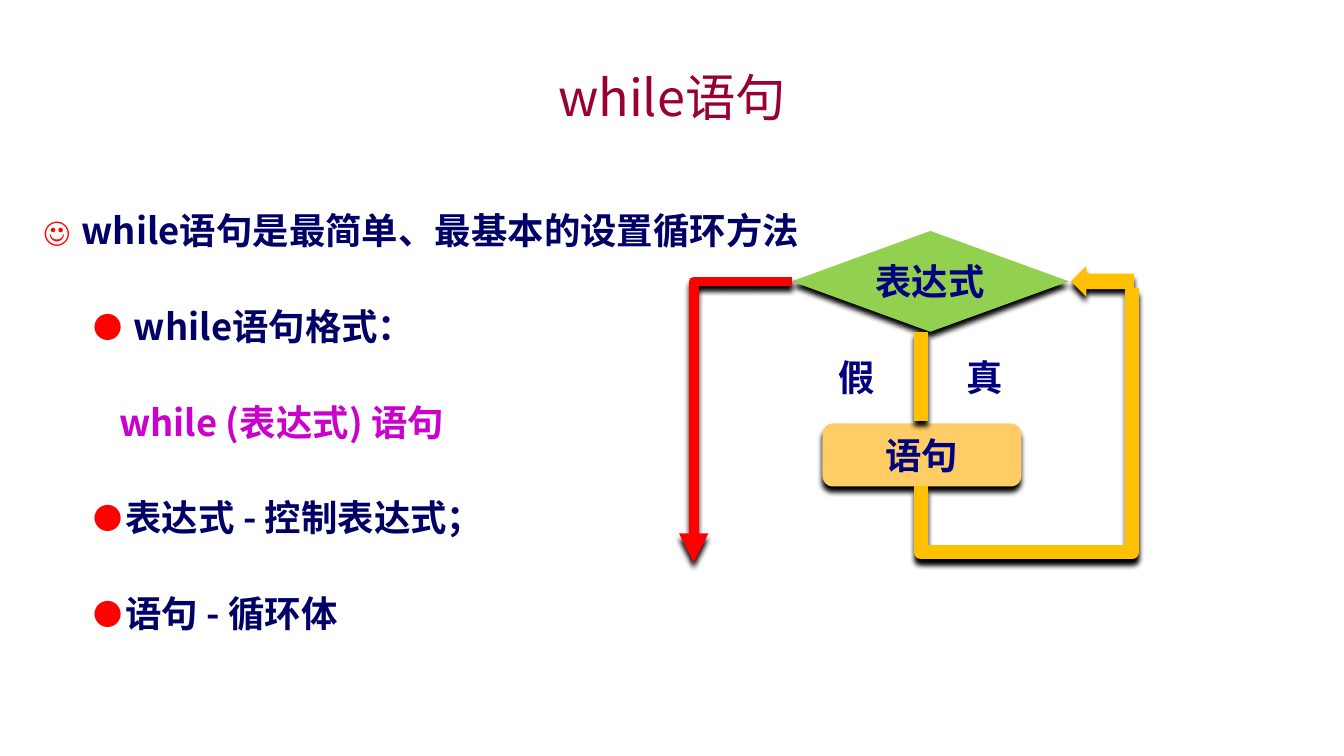
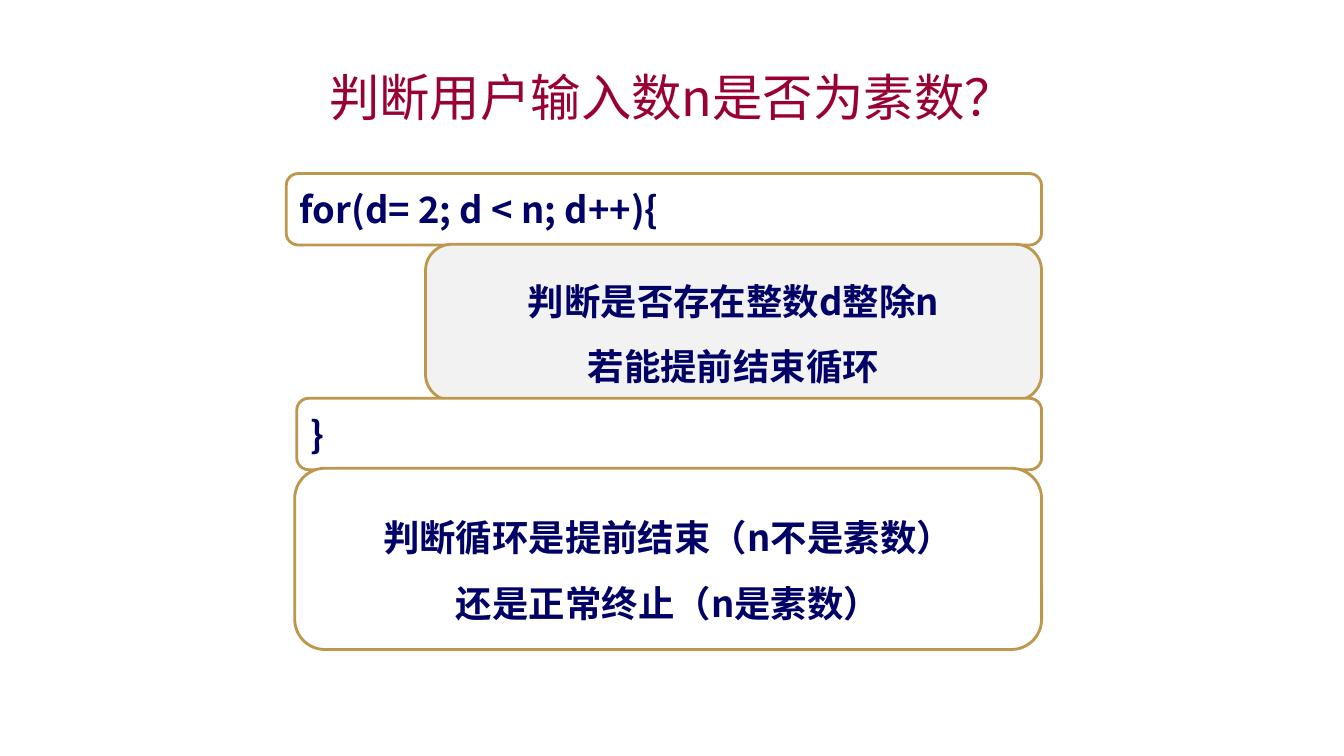
import pptx
import pptx.dml.color
import pptx.enum.shapes
import pptx.enum.text
import pptx.oxml
import pptx.oxml.ns
import pptx.util

Pt = pptx.util.Pt
RGB = pptx.dml.color.RGBColor
SHAPE = pptx.enum.shapes.MSO_SHAPE
ALIGN = pptx.enum.text.PP_ALIGN
MIDDLE = pptx.enum.text.MSO_ANCHOR.MIDDLE

FONT = "Noto Sans CJK SC"
TEXT_SIZE = 26
CRIMSON = RGB(0x99, 0x00, 0x33)
NAVY = RGB(0x00, 0x00, 0x66)
LABEL_BLUE = RGB(0x00, 0x00, 0x80)
MAGENTA = RGB(0xCC, 0x00, 0xCC)
RED = RGB(0xFF, 0x00, 0x00)
AMBER = RGB(0xFF, 0xC0, 0x00)
ORANGE = RGB(0xFF, 0xCC, 0x66)
GREEN = RGB(0x92, 0xD0, 0x50)
WHITE = RGB(0xFF, 0xFF, 0xFF)
PALE_GREY = RGB(0xF2, 0xF2, 0xF2)
GOLD = RGB(0xBD, 0x97, 0x4B)


# Shared helpers
def add_xml(parent, xml):
    parent.append(pptx.oxml.parse_xml(
        xml.replace(">", " " + pptx.oxml.ns.nsdecls("a") + ">", 1)
        if not xml.endswith("/>") or xml.count("<") > 1
        else xml[:-2] + " " + pptx.oxml.ns.nsdecls("a") + "/>"))


def style_runs(paragraph, color, size=TEXT_SIZE, bold=True):
    for run in paragraph.runs:
        run.font.name = FONT
        run.font.size = Pt(size)
        run.font.bold = bold
        run.font.color.rgb = color
        add_xml(run._r.get_or_add_rPr(), f'<a:ea typeface="{FONT}"/>')


def cast_shadow(part):
    add_xml(part._element.spPr,
            '<a:effectLst><a:outerShdw blurRad="50800" dist="50800" dir="5400000" '
            'algn="t" rotWithShape="0"><a:srgbClr val="000000"/></a:outerShdw></a:effectLst>')


def write(shape, text, color, align=ALIGN.CENTER, spacing=None):
    frame = shape.text_frame
    frame.word_wrap = True
    frame.vertical_anchor = MIDDLE
    frame.text = text
    for paragraph in frame.paragraphs:
        paragraph.alignment = align
        paragraph.line_spacing = spacing
        style_runs(paragraph, color)


def add_block(slide, kind, left, top, width, height, fill, border=None):
    block = slide.shapes.add_shape(kind, Pt(left), Pt(top), Pt(width), Pt(height))
    block.fill.solid()
    block.fill.fore_color.rgb = fill
    if border is None:
        block.line.fill.background()
        cast_shadow(block)
    else:
        block.line.color.rgb = border
        block.line.width = Pt(2)
        block.shadow.inherit = False
    return block


def add_route(slide, points, color, width, arrow=False):
    """Draws a straight or bent flow line through the points."""
    stops = [(Pt(x), Pt(y)) for x, y in points]
    if len(stops) == 2:
        route = slide.shapes.add_connector(
            pptx.enum.shapes.MSO_CONNECTOR.STRAIGHT, *stops[0], *stops[1])
    else:
        builder = slide.shapes.build_freeform(*stops[0])
        builder.add_line_segments(stops[1:], close=False)
        route = builder.convert_to_shape()
        route.fill.background()
    route.line.color.rgb = color
    route.line.width = Pt(width)
    outline = route.line._get_or_add_ln()
    add_xml(outline, "<a:round/>")
    if arrow:
        add_xml(outline, '<a:tailEnd type="triangle"/>')
    cast_shadow(route)


def add_titled_slide(deck, text):
    slide = deck.slides.add_slide(deck.slide_layouts[5])
    title = slide.shapes.title
    title.left, title.top, title.width, title.height = Pt(72), Pt(42), Pt(816), Pt(54)
    title.text_frame.text = text
    title.text_frame.vertical_anchor = MIDDLE
    title.text_frame.paragraphs[0].alignment = ALIGN.CENTER
    style_runs(title.text_frame.paragraphs[0], CRIMSON, 36, False)
    return slide


# Bulleted explanation
def add_explanation(slide, left, top, width, height):
    # text, bullet, level, left margin, hanging indent, colour
    lines = [
        ("while语句是最简单、最基本的设置循环方法", "☺", 0, 27, 27, NAVY),
        ("while语句格式：", "●", 1, 64.5, 28.5, NAVY),
        ("while (表达式) 语句", None, 0, 54, 0, MAGENTA),
        ("表达式 - 控制表达式；", "●", 1, 58.5, 22.5, NAVY),
        ("语句 - 循环体", "●", 1, 58.5, 22.5, NAVY),
    ]
    frame = slide.shapes.add_textbox(Pt(left), Pt(top), Pt(width), Pt(height)).text_frame
    frame.word_wrap = True
    frame.text = "\n".join(line[0] for line in lines)
    for index, (paragraph, line) in enumerate(zip(frame.paragraphs, lines)):
        _, bullet, level, margin, hanging, color = line
        paragraph.level = level
        paragraph.line_spacing = 2.0
        if index:
            paragraph.space_before = Pt(6)
        properties = paragraph._p.get_or_add_pPr()
        properties.set("marL", str(Pt(margin)))
        properties.set("indent", str(-Pt(hanging)))
        if bullet:
            add_xml(properties, f'<a:buClr><a:srgbClr val="{RED}"/></a:buClr>')
            add_xml(properties, '<a:buSzPct val="80000"/>')
            add_xml(properties, f'<a:buFont typeface="{FONT}"/>')
            add_xml(properties, f'<a:buChar char="{bullet}"/>')
        else:
            add_xml(properties, "<a:buNone/>")
        style_runs(paragraph, color)


# Loop flowchart
def add_flowchart(slide, left, top):
    exit_x, stem_x, return_x = left, left + 162.5, left + 313
    test_left, test_width, test_height = left + 70, 198, 72
    test_y = top + test_height / 2
    test_bottom = top + test_height
    body_top, body_height = top + 137.5, 45
    body_bottom = body_top + body_height
    loop_y = body_bottom + 47

    body = add_block(slide, SHAPE.ROUNDED_RECTANGLE, left + 92, body_top, 142, body_height, ORANGE)
    write(body, "语句", LABEL_BLUE)
    test = add_block(slide, SHAPE.DIAMOND, test_left, top, test_width, test_height, GREEN)
    write(test, "表达式", LABEL_BLUE)
    add_block(slide, SHAPE.LEFT_ARROW, test_left + test_width + 1.5, test_y - 11, 45, 22, AMBER)

    add_route(slide, [(stem_x, body_top - 2), (stem_x, test_bottom)], AMBER, 10)
    add_route(slide, [(stem_x, body_bottom), (stem_x, loop_y),
                      (return_x, loop_y), (return_x, test_y + 5)], AMBER, 10)
    add_route(slide, [(test_left, test_y), (exit_x, test_y),
                      (exit_x, top + 237)], RED, 7, arrow=True)

    for text, offset in (("真", 188), ("假", 96.5)):
        label = slide.shapes.add_textbox(Pt(left + offset), Pt(top + 84.5), Pt(41), Pt(39))
        write(label, text, LABEL_BLUE, ALIGN.LEFT)


# Nested program outline
def add_outline(slide, left, top):
    right = left + 539.5
    # text, indent, offset from top, height, fill, is code
    blocks = [
        ("for(d= 2; d < n; d++){", 0, 0, 51, WHITE, True),
        ("判断是否存在整数d整除n\n若能提前结束循环", 99.5, 50.5, 111.5, PALE_GREY, False),
        ("}", 7.5, 160.5, 51, WHITE, True),
        ("判断循环是提前结束（n不是素数）\n还是正常终止（n是素数）", 6, 210.5, 129.5, WHITE, False),
    ]
    for text, indent, offset, height, fill, is_code in blocks:
        block = add_block(slide, SHAPE.ROUNDED_RECTANGLE, left + indent, top + offset,
                          right - left - indent, height, fill, GOLD)
        write(block, text, NAVY, ALIGN.LEFT if is_code else ALIGN.CENTER,
              None if is_code else 1.5)


def main():
    deck = pptx.Presentation()
    deck.slide_width, deck.slide_height = Pt(960), Pt(540)

    while_slide = add_titled_slide(deck, "while语句")
    add_explanation(while_slide, 24, 114, 918, 378)
    add_flowchart(while_slide, 495.5, 165)

    prime_slide = add_titled_slide(deck, "判断用户输入数n是否为素数？")
    add_outline(prime_slide, 204.5, 124)

    deck.save("out.pptx")


if __name__ == "__main__":
    main()
